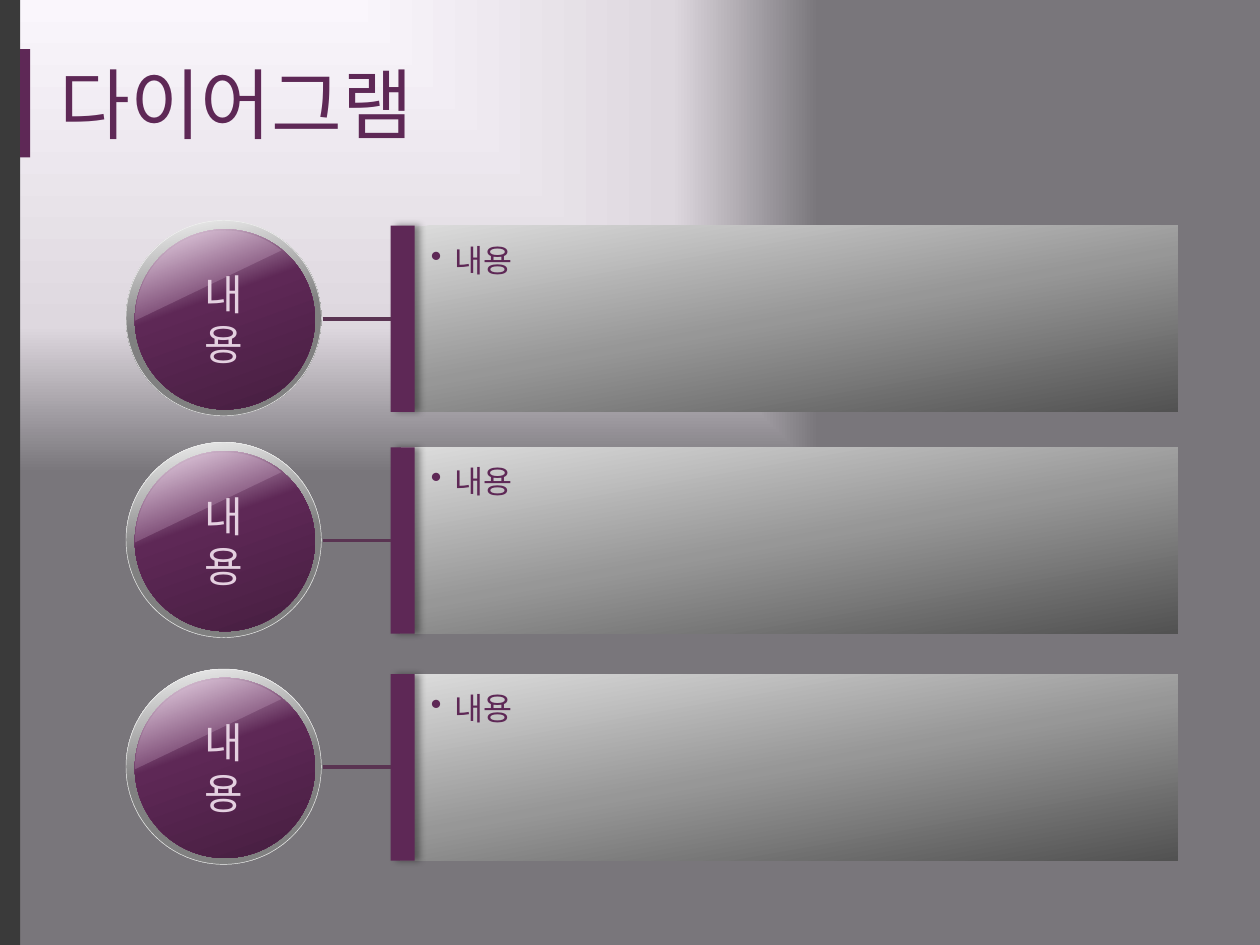
from dataclasses import dataclass

from lxml.etree import SubElement
from pptx import Presentation
from pptx.dml.color import RGBColor
from pptx.enum.shapes import MSO_CONNECTOR as Link, MSO_SHAPE as Kind
from pptx.enum.text import MSO_ANCHOR as Anchor, MSO_AUTO_SIZE as AutoSize, PP_ALIGN as Align
from pptx.oxml.ns import qn
from pptx.util import Emu, Inches, Pt


@dataclass(frozen=True)
class Theme:
    """Colours, gradients and type sizes of the slide."""
    font: str = "Arial"
    title_size: int = 44
    label_size: int = 24
    body_size: int = 18
    accent: str = "5E2856"
    edge: str = "3A3A3A"
    label: str = "E4D0E0"
    link: str = "5A3452"
    gloss: str = "E9CAE4"
    rim: str = "F2F2F2"
    backdrop: tuple = ((0, "FAF6FC"), (69, "DED8DF"), (100, "79767B"))
    ring: tuple = ((0, "F2F2F2"), (50, "808080"), (100, "808080"))
    disc: tuple = ((0, "F4E5F2"), (40, "5E2856"), (100, "461E40"))
    panel: tuple = ((0, "DCDCDC"), (50, "979797"), (100, "525252"))


THEME = Theme()
COLUMNS, ROWS = 100, 75
CELL = Inches(0.1)
ITEMS = ((17.9, "내용", "내용"), (35.5, "내용", "내용"), (53.5, "내용", "내용"))
PANEL_HEIGHT = 14.8


def grid(*cells):
    """Turn grid columns and rows into lengths."""
    return [Emu(round(cell * CELL)) for cell in cells]


def child(parent, tag, **attributes):
    """Append a DrawingML element with the given attributes."""
    element = SubElement(parent, qn(f"a:{tag}"))
    for key, value in attributes.items():
        element.set(key, str(value))
    return element


def blend(owner, fill, stops, angle=None, focus=None):
    """Give a fill a linear gradient, or a rectangular one around a focus."""
    fill.gradient()
    gradient = owner.find(f".//{qn('a:gradFill')}")
    for old in list(gradient):
        gradient.remove(old)
    stop_list = child(gradient, "gsLst")
    for position, color in stops:
        stop = child(stop_list, "gs", pos=position * 1000)
        child(stop, "srgbClr", val=color)
    if focus:
        route = child(gradient, "path", path="rect")
        sides = {side: share * 1000 for side, share in zip("ltrb", focus)}
        child(route, "fillToRect", **sides)
    else:
        child(gradient, "lin", ang=angle * 60000, scaled=0)


def add_block(shapes, kind, box, color=None, stops=None, angle=0, rim=None):
    """Add a preset shape with a solid or gradient fill."""
    block = shapes.add_shape(kind, *grid(*box))
    block.shadow.inherit = False
    if stops:
        blend(block.element, block.fill, stops, angle)
    else:
        block.fill.solid()
        block.fill.fore_color.rgb = RGBColor.from_string(color)
    if rim:
        block.line.color.rgb = RGBColor.from_string(rim)
        block.line.width = Pt(0.25)
    else:
        block.line.fill.background()
    return block


def write(holder, text, size, color, align=Align.LEFT, anchor=Anchor.MIDDLE,
          insets=(1, 0.5, 1, 0.5), bullet=None):
    """Write one formatted paragraph into a shape."""
    frame = holder.text_frame
    frame.word_wrap = True
    frame.auto_size = AutoSize.NONE
    frame.vertical_anchor = anchor
    (frame.margin_left, frame.margin_top,
     frame.margin_right, frame.margin_bottom) = grid(*insets)
    frame.text = text
    paragraph = frame.paragraphs[0]
    paragraph.alignment = align
    if bullet:
        properties = paragraph._p.get_or_add_pPr()
        indent = Inches(0.19)
        properties.set("marL", str(indent))
        properties.set("indent", str(-indent))
        child(properties, "buChar", char=bullet)
    font = paragraph.runs[0].font
    font.name = THEME.font
    font.size = Pt(size)
    font.color.rgb = RGBColor.from_string(color)


def add_badge(shapes, top, label):
    """Add a glossy round badge with its label."""
    badge = shapes.add_group_shape().shapes
    add_block(badge, Kind.OVAL, (10, top, 15.5, 15.5), stops=THEME.ring, angle=80, rim=THEME.rim)
    add_block(badge, Kind.OVAL, (10.7, top + 0.7, 14.3, 14.3), stops=THEME.disc, angle=70)
    gloss = add_block(badge, Kind.CHORD, (10.7, top + 0.8, 14.3, 14.3), THEME.gloss)
    gloss.rotation = 90
    gloss.adjustments[0], gloss.adjustments[1] = 53.946, 131.298
    child(gloss.element.find(f".//{qn('a:srgbClr')}"), "alpha", val=20000)
    caption = shapes.add_textbox(*grid(13.9, top + 5.3, 7.7, 5))
    write(caption, label, THEME.label_size, THEME.label, align=Align.CENTER)


def add_panel(shapes, top, content):
    """Add a content panel and return its accent bar."""
    group = shapes.add_group_shape().shapes
    panel = add_block(group, Kind.RECTANGLE, (31.8, top, 61.7, PANEL_HEIGHT),
                      stops=THEME.panel, angle=80)
    write(panel, content, THEME.body_size, THEME.accent, anchor=Anchor.TOP,
          insets=(2.4, 1.2, 1, 0.5), bullet="•")
    bar = add_block(group, Kind.RECTANGLE, (31, top, 1.9, PANEL_HEIGHT), THEME.accent)
    effects = bar.element.spPr.find(qn("a:effectLst"))
    shadow = child(effects, "outerShdw", blurRad=Pt(4), dist=Pt(3), dir=0, algn="l", rotWithShape=0)
    child(child(shadow, "srgbClr", val="000000"), "alpha", val=40000)
    return bar


def add_link(shapes, bar, middle):
    """Join a badge to the left side of an accent bar."""
    link = shapes.add_connector(Link.STRAIGHT, *grid(25.6, middle, 31, middle))
    link.end_connect(bar, 1)
    link.line.color.rgb = RGBColor.from_string(THEME.link)
    link.line.width = Pt(2.25)
    child(link.element.spPr, "effectLst")


def main():
    """Build the diagram slide and save it."""
    deck = Presentation()
    deck.slide_width, deck.slide_height = grid(COLUMNS, ROWS)
    slide = deck.slides.add_slide(deck.slide_layouts[5])
    shapes = slide.shapes
    blend(slide.element, slide.background.fill, THEME.backdrop, focus=(0, -50, 70, 180))
    add_block(shapes, Kind.RECTANGLE, (0, 0, 1.6, ROWS), THEME.edge)
    add_block(shapes, Kind.RECTANGLE, (1.6, 3.9, 0.8, 8.6), THEME.accent)
    title = shapes.title
    title.left, title.top, title.width, title.height = grid(3.7, 3, 71.3, 10.3)
    write(title, "다이어그램", THEME.title_size, THEME.accent)
    for top, label, content in ITEMS:
        add_badge(shapes, top - 0.4, label)
        bar = add_panel(shapes, top, content)
        add_link(shapes, bar, top + PANEL_HEIGHT / 2)
    deck.save("out.pptx")


if __name__ == "__main__":
    main()
